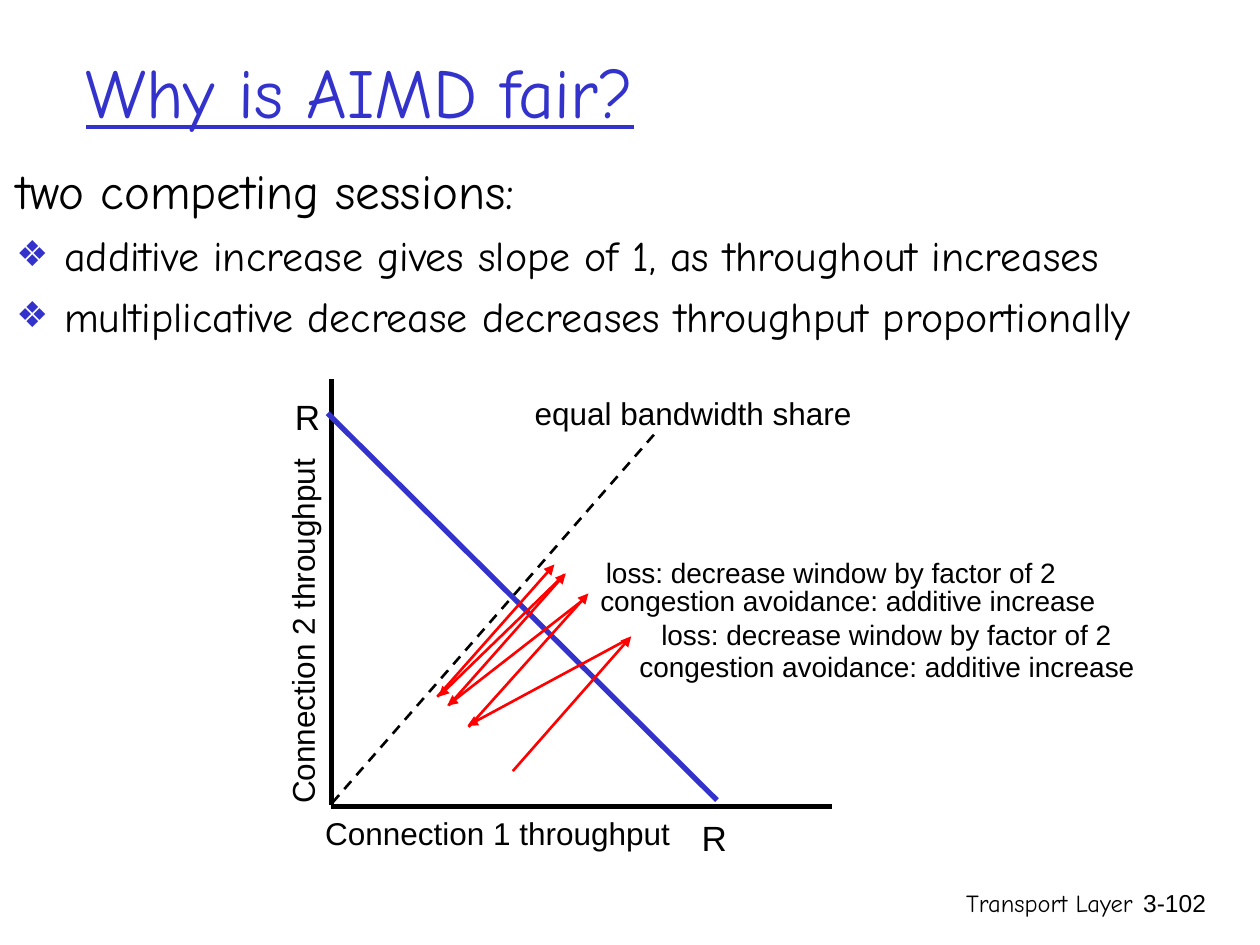
from lxml.etree import SubElement
from pptx import Presentation
from pptx.dml.color import RGBColor
from pptx.enum.dml import MSO_LINE
from pptx.enum.shapes import MSO_CONNECTOR
from pptx.enum.text import MSO_ANCHOR, MSO_AUTO_SIZE, PP_ALIGN
from pptx.oxml.ns import qn
from pptx.util import Emu, Pt

PX = 9144  # 100 px to the inch
BLACK = RGBColor(0, 0, 0)
BLUE = RGBColor(0x33, 0x33, 0xCC)
RED = RGBColor(0xFF, 0, 0)
HAND, SANS = "Comic Neue", "Arial"

prs = Presentation()
prs.slide_width, prs.slide_height = Emu(1000 * PX), Emu(750 * PX)
slide = prs.slides.add_slide(prs.slide_layouts[1])


def label(text, x, y, w, h, size, face=SANS, align=PP_ALIGN.CENTER, wrap=True):
    box = slide.shapes.add_textbox(*(Emu(v * PX) for v in (x, y, w, h)))
    frame = box.text_frame
    frame.word_wrap = wrap
    frame.text = text
    para = frame.paragraphs[0]
    para.alignment = align
    font = para.runs[0].font
    font.name, font.size = face, Pt(size)
    font.color.rgb = BLACK
    return box


def line(x1, y1, x2, y2, color, width):
    rule = slide.shapes.add_connector(
        MSO_CONNECTOR.STRAIGHT, *(Emu(v * PX) for v in (x1, y1, x2, y2)))
    rule.line.color.rgb = color
    rule.line.width = Pt(width)
    SubElement(rule._element.spPr, qn("a:effectLst"))
    return rule


# Title
title = slide.shapes.title
title.left, title.top, title.width, title.height = (
    Emu(v * PX) for v in (58, 25, 867, 93))
title.text_frame.text = "Why is AIMD fair?"
title.text_frame.vertical_anchor = MSO_ANCHOR.MIDDLE
para = title.text_frame.paragraphs[0]
para.alignment = PP_ALIGN.LEFT
font = para.runs[0].font
font.name, font.size, font.underline = HAND, Pt(40), True
font.color.rgb = BLUE

# List
body = slide.placeholders[1]
body.left, body.top, body.width, body.height = (
    Emu(v * PX) for v in (3, 122, 975, 523))
frame = body.text_frame
frame.auto_size = MSO_AUTO_SIZE.NONE
frame.text = "\n".join([
    "two competing sessions:",
    "additive increase gives slope of 1, as throughout increases",
    "multiplicative decrease decreases throughput proportionally",
])
for i, para in enumerate(frame.paragraphs):
    props = para._p.get_or_add_pPr()
    props.set("marL", str(38 * PX))
    props.set("indent", str(-38 * PX))
    para.space_before = Pt(6 if i else 0)
    if i:
        tint = SubElement(props, qn("a:buClr"))
        SubElement(tint, qn("a:srgbClr"), val=str(BLUE))
        SubElement(props, qn("a:buSzPct"), val="85000")
        SubElement(props, qn("a:buChar"), char="❖")
    else:
        SubElement(props, qn("a:buNone"))
    font = para.runs[0].font
    font.name, font.size = HAND, Pt(24 if i else 28)
    font.color.rgb = BLACK

# Axes, equal share and full use
line(263, 640, 660, 640, BLACK, 3)
line(263, 639, 263, 301, BLACK, 3)
share = line(519, 345, 263, 638, BLACK, 1.5)
share.line.dash_style = MSO_LINE.DASH
line(260, 328, 569, 635, BLUE, 3)

label("R", 222, 309, 44, 44, 20)
label("R", 545, 643, 44, 44, 20)
label("equal bandwidth share", 356, 308, 388, 40, 18)
label("Connection 1 throughput", 201, 641, 388, 40, 18)
label("Connection 2 throughput", 46, 481, 388, 40, 18).rotation = 270

# Each rise ends in a loss, each loss in a new rise
for ends in [
    (407, 612, 501, 505), (499, 507, 371, 576),
    (372, 577, 467, 471), (463, 476, 355, 560),
    (356, 560, 449, 455), (448, 456, 348, 553),
    (347, 553, 440, 448),
]:
    step = line(*ends, RED, 1.5)
    SubElement(step.line._get_or_add_ln(), qn("a:tailEnd"), type="triangle")

for x, y in [(456, 511), (425, 458)]:
    label("congestion avoidance: additive increase", x, y, 496, 37, 16)
for x, y in [(515, 485), (471, 436)]:
    label("loss: decrease window by factor of 2", x, y, 377, 37, 16, wrap=False)

# Footer
label("Transport Layer", 592, 700, 317, 50, 14, HAND, PP_ALIGN.RIGHT)
label("3-102", 893, 700, 74, 50, 14, align=PP_ALIGN.RIGHT)

prs.save("out.pptx")
